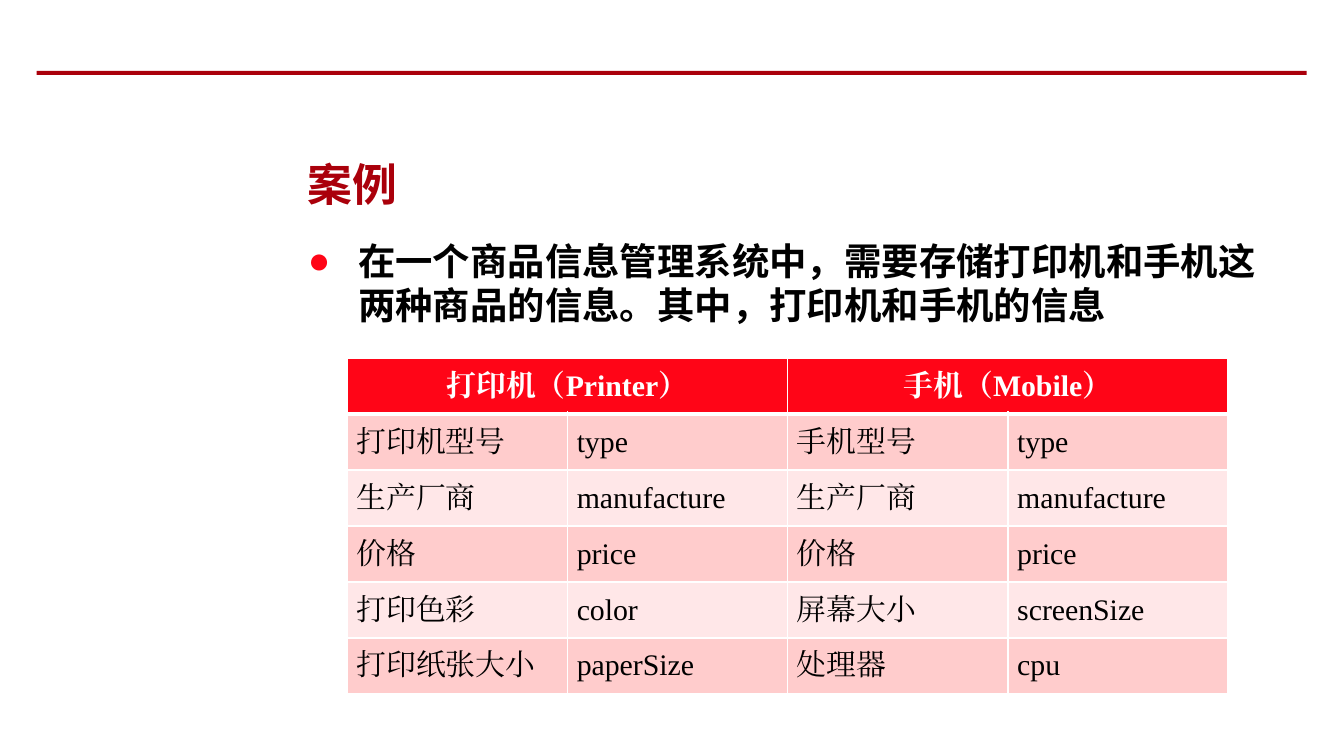
import pptx
import pptx.dml.color
import pptx.enum.shapes
import pptx.enum.text
import pptx.oxml
import pptx.oxml.ns
import pptx.util

Pt = pptx.util.Pt
RGB = pptx.dml.color.RGBColor
ALIGN = pptx.enum.text.PP_ALIGN
ANCHOR = pptx.enum.text.MSO_ANCHOR
FIT = pptx.enum.text.MSO_AUTO_SIZE

DARK = RGB(0xAA, 0x00, 0x0B)
RED = RGB(0xFF, 0x05, 0x17)
PINK = RGB(0xFF, 0xCC, 0xCC)
PALE = RGB(0xFF, 0xE7, 0xE8)
WHITE = RGB(0xFF, 0xFF, 0xFF)
BLACK = RGB(0x00, 0x00, 0x00)

HEAD = {"name": "Noto Sans CJK SC", "size": Pt(24), "bold": True}
BODY = {"name": "Calibri", "size": Pt(20), "bold": True}
CELL = {"name": "Times New Roman", "size": Pt(16), "bold": False}
TOP = {**CELL, "bold": True}

HEADS = ["打印机（Printer）", "手机（Mobile）"]
ROWS = [
    ["打印机型号", "type", "手机型号", "type"],
    ["生产厂商", "manufacture", "生产厂商", "manufacture"],
    ["价格", "price", "价格", "price"],
    ["打印色彩", "color", "屏幕大小", "screenSize"],
    ["打印纸张大小", "paperSize", "处理器", "cpu"],
]


def make(tag, **vals):
    """Make a drawing element with the given attributes."""
    node = pptx.oxml.parse_xml(f"<a:{tag} {pptx.oxml.ns.nsdecls('a')}/>")
    for key, val in vals.items():
        node.set(key, str(val))
    return node


def put(obj, vals):
    for key, val in vals.items():
        setattr(obj, key, val)


def write(frame, text, form, color, align):
    """Write one formatted paragraph and return it."""
    para = frame.paragraphs[0]
    para.alignment = align
    run = para.add_run()
    run.text = text
    put(run.font, form)
    run.font.color.rgb = color
    run.font._element.append(make("ea", typeface=form["name"]))
    return para


def place(holder, left, top, width, height, anchor):
    """Move a placeholder and return its text frame."""
    put(holder, {"left": Pt(left), "top": Pt(top),
                 "width": Pt(width), "height": Pt(height)})
    frame = holder.text_frame
    put(frame, {"word_wrap": True, "auto_size": FIT.NONE,
                "vertical_anchor": anchor})
    return frame


def bullet(para, indent, color):
    props = para._p.get_or_add_pPr()
    props.set("marL", str(Pt(indent)))
    props.set("indent", str(-Pt(indent)))
    tint = make("buClr")
    tint.append(make("srgbClr", val=color))
    props.extend([tint, make("buFont", typeface="Arial"),
                  make("buChar", char="●")])


def edge(cell, **sides):
    """Draw white cell borders, ahead of the fill."""
    props = cell._tc.get_or_add_tcPr()
    for spot, (side, width) in enumerate(sides.items()):
        line = make("ln" + side, w=Pt(width))
        fill = make("solidFill")
        fill.append(make("srgbClr", val=WHITE))
        line.append(fill)
        props.insert(spot, line)


def paint(cell, fill, top, base):
    put(cell, {"margin_left": Pt(5), "margin_right": Pt(5),
               "margin_top": 0, "margin_bottom": 0,
               "vertical_anchor": ANCHOR.MIDDLE})
    cell.fill.solid()
    cell.fill.fore_color.rgb = fill
    edge(cell, L=1, R=1, T=top, B=base)


def add_rule(slide):
    rule = slide.shapes.add_shape(
        pptx.enum.shapes.MSO_SHAPE.RECTANGLE,
        Pt(19.6), Pt(38), Pt(680.4), Pt(2.2))
    rule.shadow.inherit = False
    rule.fill.solid()
    rule.fill.fore_color.rgb = DARK
    rule.line.fill.background()


def add_grid(slide):
    wide, high = 118, 30
    count = len(ROWS) + 1
    grid = slide.shapes.add_table(
        count, 4, Pt(186), Pt(191.8), Pt(4 * wide), Pt(count * high)).table
    for col in grid.columns:
        col.width = Pt(wide)
    for row in grid.rows:
        row.height = Pt(high)

    # Header: each title spans two columns
    for cell in grid.rows[0].cells:
        paint(cell, RED, 1, 3)
    for pos, text in enumerate(HEADS):
        cell = grid.cell(0, 2 * pos)
        cell.merge(grid.cell(0, 2 * pos + 1))
        write(cell.text_frame, text, TOP, WHITE, ALIGN.CENTER)

    # Body: banded rows
    for num, texts in enumerate(ROWS, 1):
        for cell, text in zip(grid.rows[num].cells, texts):
            paint(cell, PINK if num % 2 else PALE, 3 if num == 1 else 1, 1)
            write(cell.text_frame, text, CELL, BLACK, ALIGN.JUSTIFY)


def main():
    deck = pptx.Presentation()
    put(deck, {"slide_width": Pt(720), "slide_height": Pt(405)})
    slide = deck.slides.add_slide(deck.slide_layouts[1])
    add_rule(slide)

    # Title
    frame = place(slide.shapes.title, 157.7, 78.5, 343.4, 39.6, ANCHOR.MIDDLE)
    write(frame, "案例", HEAD, DARK, ALIGN.LEFT)

    # Bulleted text
    frame = place(slide.placeholders[1], 157.7, 123.8, 528.5, 230.4, ANCHOR.TOP)
    para = write(
        frame,
        "在一个商品信息管理系统中，需要存储打印机和手机这两种商品的信息。"
        "其中，打印机和手机的信息",
        BODY, BLACK, ALIGN.LEFT)
    put(para, {"space_before": Pt(4), "line_spacing": Pt(24)})
    bullet(para, 27, RED)

    add_grid(slide)
    deck.save("out.pptx")


if __name__ == "__main__":
    main()
